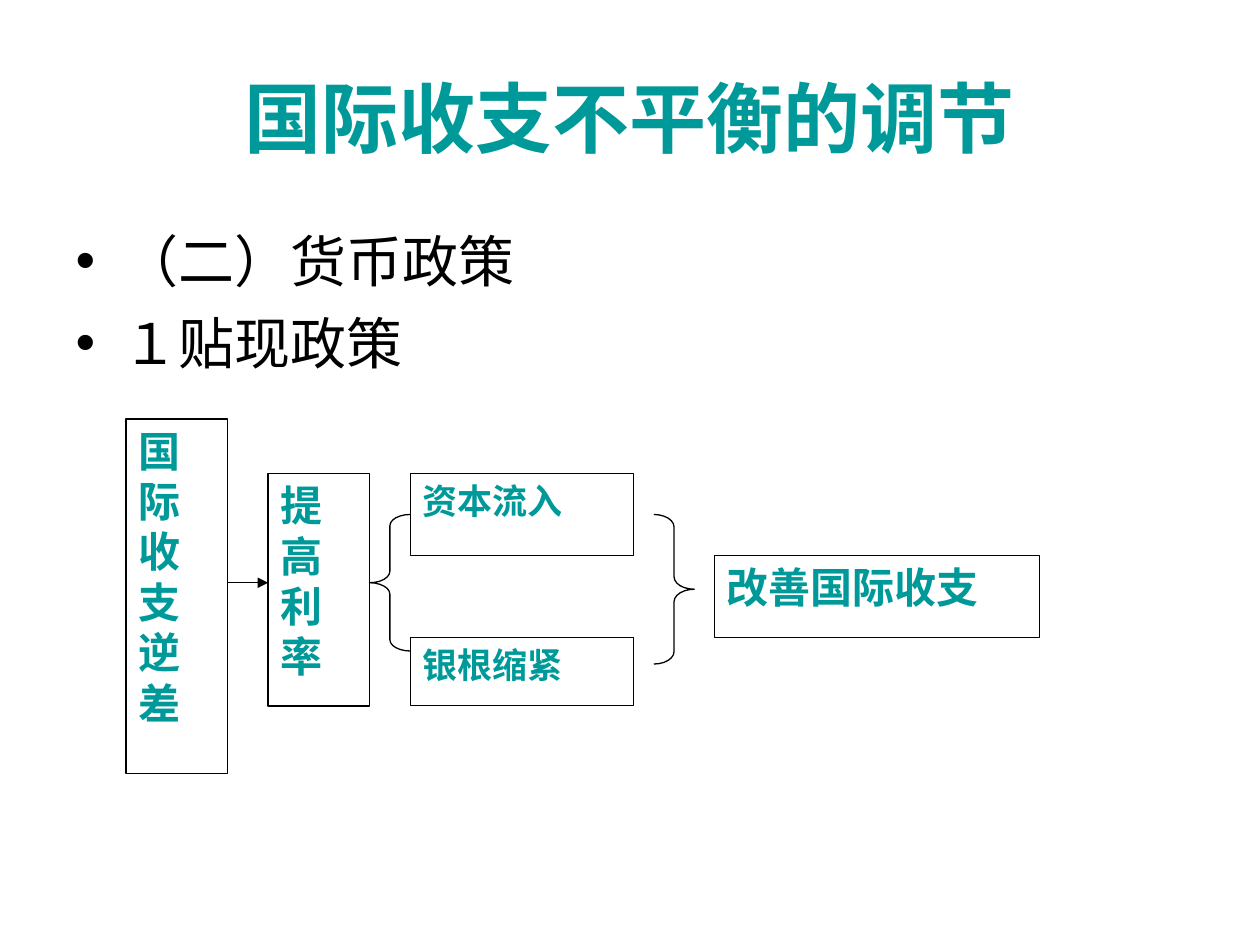
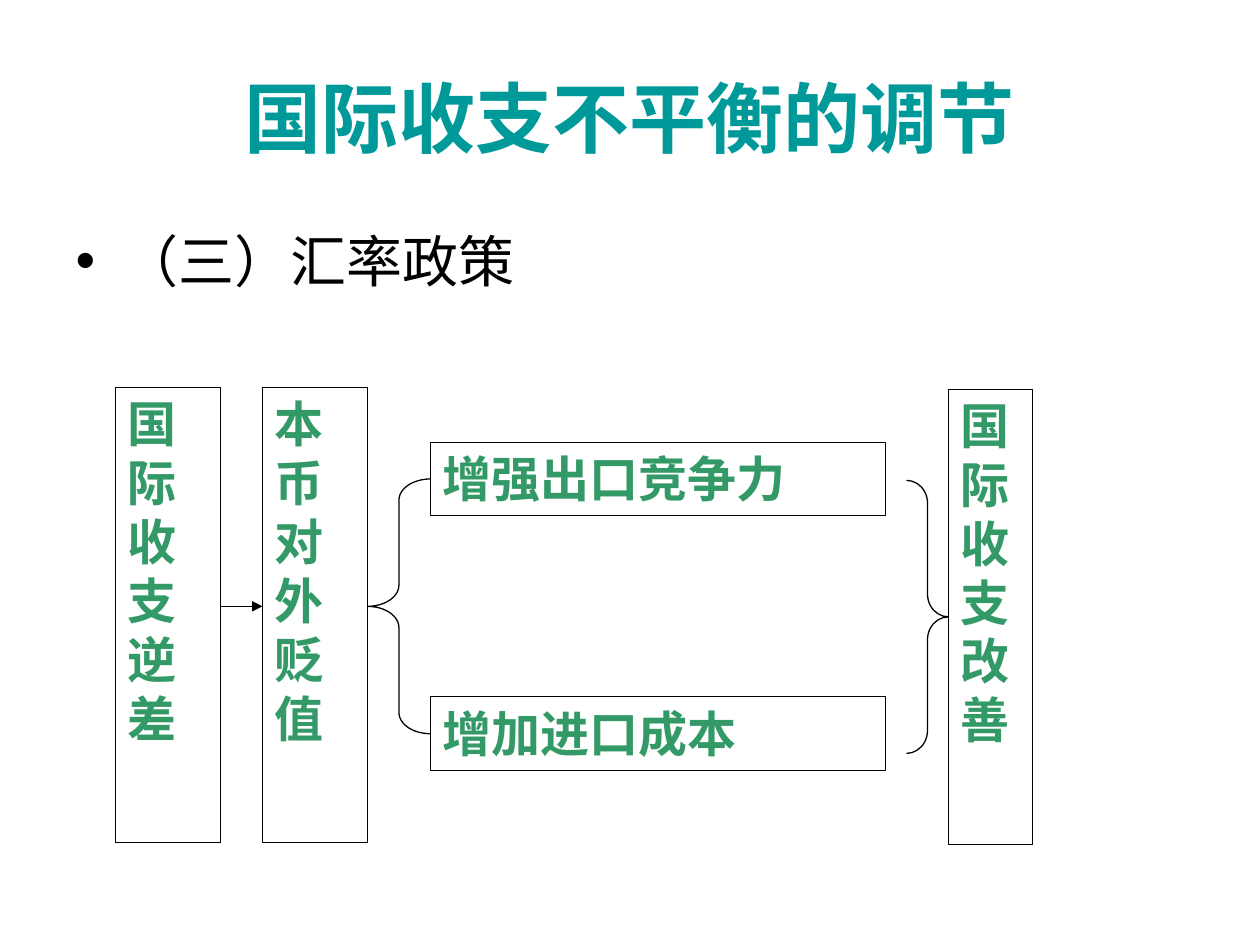
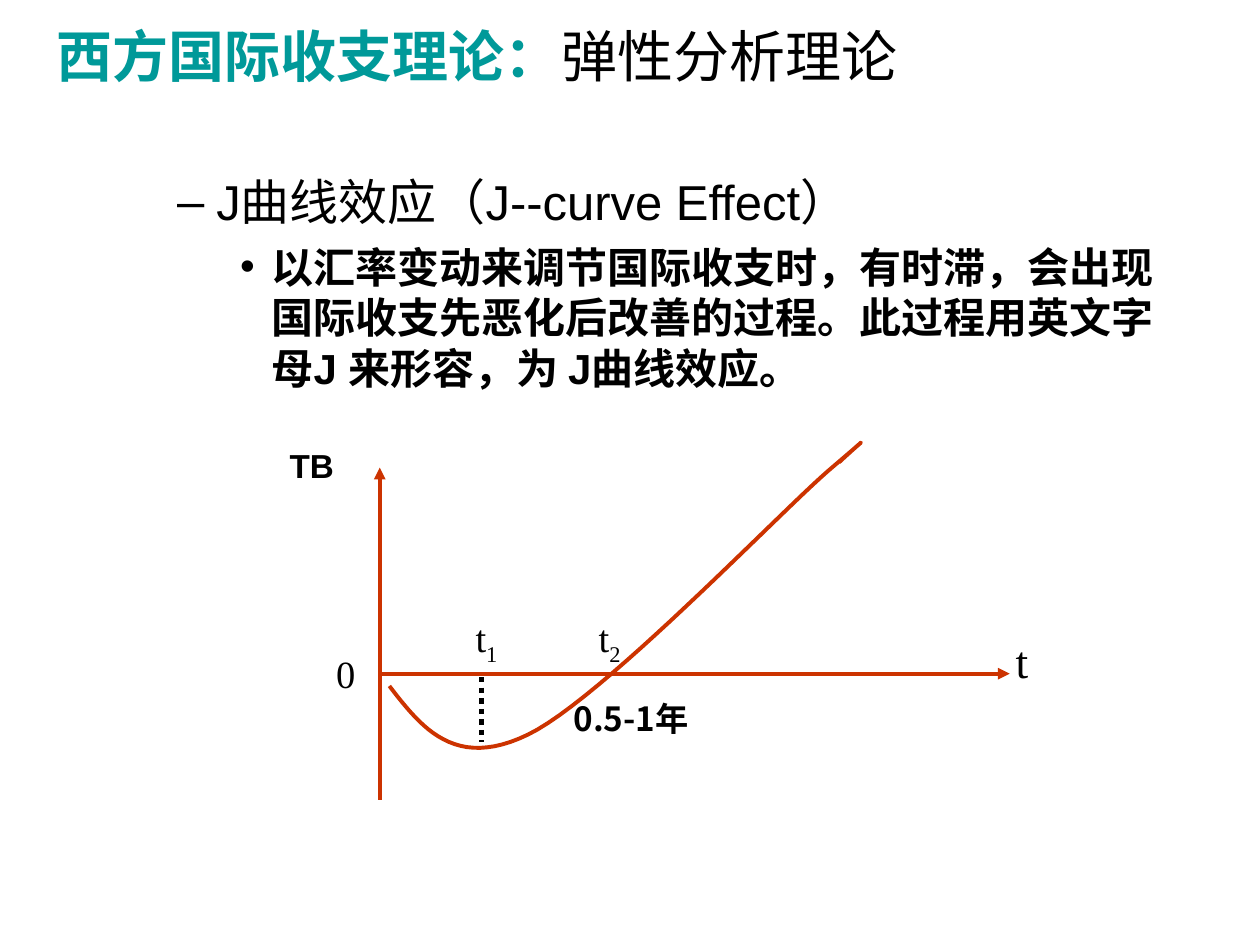
from dataclasses import dataclass
from lxml.etree import SubElement
from pptx import Presentation
from pptx.dml.color import RGBColor
from pptx.enum.dml import MSO_LINE
from pptx.enum.shapes import MSO_CONNECTOR, MSO_SHAPE
from pptx.enum.text import MSO_ANCHOR, MSO_AUTO_SIZE, PP_ALIGN
from pptx.oxml.ns import qn
from pptx.util import Pt


@dataclass(frozen=True)
class Theme:
    teal: RGBColor = RGBColor(0x00, 0x99, 0x99)
    green: RGBColor = RGBColor(0x33, 0x99, 0x66)
    red: RGBColor = RGBColor(0xCC, 0x33, 0x00)
    black: RGBColor = RGBColor(0, 0, 0)
    white: RGBColor = RGBColor(255, 255, 255)
    sans: str = "Arial"
    serif: str = "Times New Roman"
    head: str = "Noto Sans CJK JP"
    note: str = "Noto Sans CJK SC"
    title: int = 44
    levels: tuple = (32, 28, 24)
    gaps: tuple = (8, 7, 6)
    large: int = 28
    mid: int = 24
    small: int = 20
    axis: int = 26
    mark: int = 22
    tag: int = 19
    thin: float = 0.75
    thick: float = 2.25
    dots: float = 3


theme = Theme()


def style(para, name, size, color, bold=False):
    font = para.font
    font.name, font.size, font.bold = name, Pt(size), bold
    font.color.rgb = color


def wire(slide, start, end, color, width, dash=None, arrow=True):
    link = slide.shapes.add_connector(MSO_CONNECTOR.STRAIGHT, *map(Pt, start + end))
    link.line.color.rgb = color
    link.line.width = Pt(width)
    if dash:
        link.line.dash_style = dash
    if arrow:
        SubElement(link.line._get_or_add_ln(), qn("a:tailEnd"), type="triangle")
    SubElement(link._element.spPr, qn("a:effectLst"))


deck = Presentation()
deck.slide_width, deck.slide_height = Pt(720), Pt(540)

pages = [
    ("国际收支不平衡的调节", [("（二）货币政策", 0), ("１贴现政策", 0)]),
    ("国际收支不平衡的调节", [("（三）汇率政策", 0)]),
    ("西方国际收支理论：", [
        ("J曲线效应（J--curve Effect）", 1),
        ("以汇率变动来调节国际收支时，有时滞，会出现国际收支先恶化后改善的过程。"
         "此过程用英文字母J 来形容，为 J曲线效应。", 2),
    ]),
]
for head, items in pages:
    slide = deck.slides.add_slide(deck.slide_layouts[1])
    frame = slide.shapes.title.text_frame
    frame.text = head
    frame.auto_size = MSO_AUTO_SIZE.NONE
    frame.paragraphs[0].alignment = PP_ALIGN.CENTER
    style(frame.paragraphs[0], theme.sans, theme.title, theme.teal, True)
    frame = slide.placeholders[1].text_frame
    frame.text = "\n".join(text for text, level in items)
    frame.auto_size = MSO_AUTO_SIZE.NONE
    for para, (text, level) in zip(frame.paragraphs, items):
        para.level = level
        para.space_before = Pt(theme.gaps[level])
        style(para, theme.sans, theme.levels[level], theme.black, level == 2)

rate, money, curve = deck.slides

left, right = MSO_SHAPE.LEFT_BRACE, MSO_SHAPE.RIGHT_BRACE
flows = [
    (rate, theme.teal, [
        ("国际收支逆差", theme.mid, (72, 239.4, 58, 202.8)),
        ("提高利率", theme.mid, (153.2, 270.6, 58, 132.8)),
        ("资本流入", theme.small, (234.4, 270.6, 127.8, 46.8)),
        ("银根缩紧", theme.small, (234.4, 364.4, 127.8, 39)),
        ("改善国际收支", theme.mid, (408.2, 317.5, 186, 46.8)),
    ], [(left, (211.2, 294, 23.2, 78)), (right, (373.6, 294, 23.2, 85.5))], 333),
    (money, theme.green, [
        ("国际收支逆差", theme.large, (66, 221.6, 60, 260)),
        ("本\n币\n对\n外\n贬\n值", theme.large, (150, 221.6, 60, 260)),
        ("增强出口竞争力", theme.large, (246, 252.7, 260, 42)),
        ("增加进口成本", theme.large, (246, 398.2, 260, 42)),
        ("国\n际\n收\n支\n改\n善", theme.large, (542, 222.5, 48, 260)),
    ], [(left, (210, 273.7, 36, 145.6)), (right, (518, 274.5, 24, 156))], 346.5),
]
for slide, color, boxes, braces, mid in flows:
    for text, size, area in boxes:
        box = slide.shapes.add_shape(MSO_SHAPE.RECTANGLE, *map(Pt, area))
        box.shadow.inherit = False
        box.fill.solid()
        box.fill.fore_color.rgb = theme.white
        box.line.color.rgb = theme.black
        box.line.width = Pt(theme.thin)
        frame = box.text_frame
        frame.word_wrap = True
        frame.vertical_anchor = MSO_ANCHOR.TOP
        frame.text = text
        for para in frame.paragraphs:
            para.alignment = PP_ALIGN.JUSTIFY
            style(para, theme.serif, size, color, True)
    for kind, area in braces:
        brace = slide.shapes.add_shape(kind, *map(Pt, area))
        brace.shadow.inherit = False
        brace.adjustments[0] = area[3] / 12 / area[2]
        brace.fill.background()
        brace.line.color.rgb = theme.black
        brace.line.width = Pt(theme.thin)
    first, second = boxes[0][2], boxes[1][2]
    wire(slide, (first[0] + first[2], mid), (second[0], mid), theme.black, theme.thin)

title, body = curve.shapes.title, curve.placeholders[1]
title.left, title.top, title.width, title.height = map(Pt, (25.2, 18.5, 590, 26))
body.left, body.top, body.width, body.height = map(Pt, (58, 94.6, 612, 149))
para = title.text_frame.paragraphs[0]
para.alignment = PP_ALIGN.LEFT
style(para, theme.head, theme.levels[0], theme.teal, True)
run = para.add_run()
run.text = "弹性分析理论"
run.font.bold = False
run.font.color.rgb = theme.black

wire(curve, (217, 457), (217, 267.2), theme.red, theme.thick)
wire(curve, (216, 385), (577, 385), theme.red, theme.thick)
wire(curve, (275, 387), (275, 424), theme.black, theme.dots, MSO_LINE.ROUND_DOT, False)

knots = [(222.5, 392), (241, 416), (260, 440), (301.7, 419.8), (343.4, 399.6),
         (443.5, 295), (473, 269.3), (503.3, 243.4), (491, 253.4), (479.5, 264.2)]
steps = 24
dots = [tuple(map(Pt, knots[0]))]
for base in range(0, 9, 3):
    for step in range(1, steps + 1):
        t = step / steps
        parts = ((1 - t) ** 3, 3 * t * (1 - t) ** 2, 3 * t * t * (1 - t), t ** 3)
        dots.append([Pt(sum(part * knot[axis] for part, knot in zip(parts, knots[base:base + 4])))
                     for axis in (0, 1)])
pen = curve.shapes.build_freeform(*dots[0])
pen.add_line_segments(dots[1:], close=False)
wave = pen.convert_to_shape()
wave.shadow.inherit = False
wave.fill.background()
wave.line.color.rgb = theme.red
wave.line.width = Pt(theme.thick)

labels = [
    ("TB", "", theme.sans, theme.tag, (159, 251, 48, 29.5)),
    ("t", "", theme.serif, theme.axis, (570, 357.5, 28, 39.6)),
    ("0.5-1年", "", theme.note, theme.tag, (314.6, 390.5, 92, 39.6)),
    ("t", "1", theme.serif, theme.mark, (264, 349.2, 28, 33.8)),
    ("t", "2", theme.serif, theme.mark, (334.3, 349.2, 28, 33.8)),
    ("0", "", theme.serif, theme.mark, (183.6, 368, 28, 33.8)),
]
for text, sub, name, size, area in labels:
    box = curve.shapes.add_textbox(*map(Pt, area))
    frame = box.text_frame
    frame.margin_left = frame.margin_right = Pt(6.5)
    frame.word_wrap = text == "TB"
    frame.vertical_anchor = MSO_ANCHOR.TOP if text == "TB" else MSO_ANCHOR.MIDDLE
    para = frame.paragraphs[0]
    para.alignment = PP_ALIGN.JUSTIFY if text == "TB" else PP_ALIGN.CENTER
    para.add_run().text = text
    style(para, name, size, theme.black, size == theme.tag)
    if sub:
        run = para.add_run()
        run.text = sub
        run._r.get_or_add_rPr().set("baseline", "-25000")

deck.save("out.pptx")
